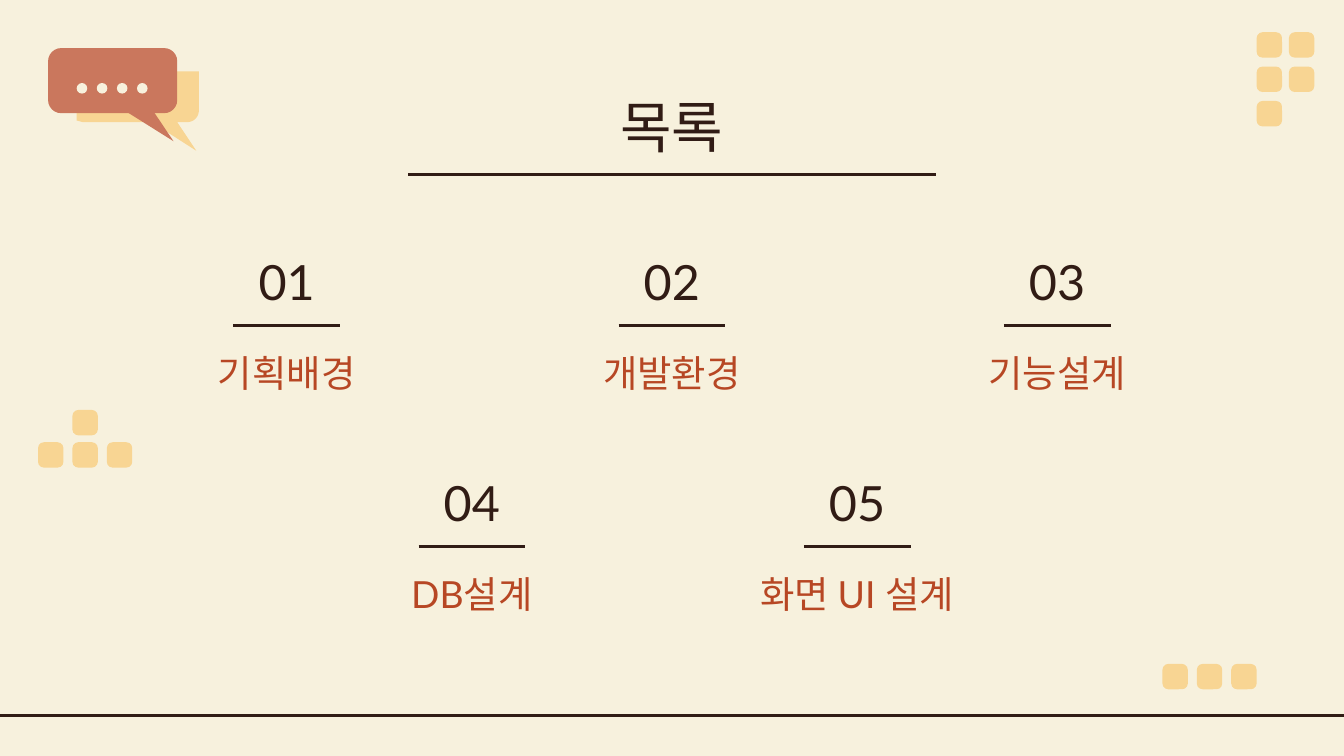
from math import cos, pi, sin

from lxml.etree import SubElement
from pptx import Presentation
from pptx.dml.color import RGBColor
from pptx.enum.shapes import MSO_CONNECTOR as Connector, MSO_SHAPE as Shape
from pptx.enum.text import MSO_ANCHOR as Anchor, MSO_AUTO_SIZE as AutoSize, PP_ALIGN as Align
from pptx.oxml.ns import qn
from pptx.util import Cm, Pt

COLORS = {
    "cream": "F7F1DD",
    "brown": "311C15",
    "rust": "B74724",
    "sand": "F8D593",
    "clay": "CA775D",
}
FONT = "Lato"

# Agenda rows: top, centre of the first entry, labels (all in cm)
AGENDA_ROWS = [
    (4.52, 5.42, ["기획배경", "개발환경", "기능설계"]),
    (8.69, 8.92, ["DB설계", "화면 UI 설계"]),
]
ENTRY_PITCH = 7.28

# Tile clusters: left, top, column pitch, row pitch, (column, row) cells
TILE_CLUSTERS = [
    (23.75, 0.61, 0.61, 0.65, [(0, 0), (1, 0), (0, 1), (1, 1), (0, 2)]),
    (21.97, 12.55, 0.65, 0.65, [(0, 0), (1, 0), (2, 0)]),
    (0.72, 7.75, 0.65, 0.61, [(1, 0), (0, 1), (1, 1), (2, 1)]),
]


def color(name):
    return RGBColor.from_string(COLORS[name])


def paint(shape, fill):
    shape.shadow.inherit = False
    shape.fill.solid()
    shape.fill.fore_color.rgb = color(fill)
    shape.line.fill.background()


def add_solid(page, kind, left, top, width, height, fill, rounding=None):
    shape = page.shapes.add_shape(kind, Cm(left), Cm(top), Cm(width), Cm(height))
    if rounding is not None:
        shape.adjustments[0] = rounding
    paint(shape, fill)


def add_outline(page, points, fill):
    corners = [(Cm(x), Cm(y)) for x, y in points]
    builder = page.shapes.build_freeform(*corners[0])
    builder.add_line_segments(corners[1:], close=True)
    paint(builder.convert_to_shape(), fill)


def add_rule(page, left, right, y):
    rule = page.shapes.add_connector(Connector.STRAIGHT, Cm(left), Cm(y), Cm(right), Cm(y))
    rule.line.color.rgb = color("brown")
    rule.line.width = Pt(1.5)
    SubElement(rule._element.spPr, qn("a:effectLst"))


def set_text(box, text, size, ink, anchor):
    frame = box.text_frame
    frame.text = text
    frame.word_wrap = True
    frame.auto_size = AutoSize.NONE
    frame.vertical_anchor = anchor
    frame.margin_left = frame.margin_right = Cm(0.25)
    frame.margin_top = frame.margin_bottom = Cm(0.25)
    paragraph = frame.paragraphs[0]
    paragraph.alignment = Align.CENTER
    for span in paragraph.runs:
        span.font.name = FONT
        span.font.size = Pt(size)
        span.font.color.rgb = color(ink)


def add_text(page, center, top, width, height, text, size, ink, anchor):
    box = page.shapes.add_textbox(Cm(center - width / 2), Cm(top), Cm(width), Cm(height))
    set_text(box, text, size, ink, anchor)


def add_entry(page, center, top, number, label):
    add_text(page, center, top, 2.11, 1.6, f"{number:02d}", 26, "brown", Anchor.MIDDLE)
    add_rule(page, center - 1.01, center + 1.01, top + 1.64)
    add_text(page, center, top + 1.98, 6.68, 1.22, label, 20, "rust", Anchor.BOTTOM)


def add_title(page, text):
    title = page.shapes.title
    title.left, title.top = Cm(2), Cm(1.5)
    title.width, title.height = Cm(21.4), Cm(1.6)
    set_text(title, text, 30, "brown", Anchor.TOP)
    add_rule(page, 7.72, 17.68, 3.3)


def add_tiles(page, left, top, column_pitch, row_pitch, cells):
    for column, row in cells:
        add_solid(page, Shape.ROUNDED_RECTANGLE, left + column * column_pitch,
                  top + row * row_pitch, 0.48, 0.48, "sand", 0.23)


def add_speech_bubbles(page):
    # Back bubble with one rounded corner
    radius, steps = 0.22, 8
    angles = [pi / 2 * (1 - step / steps) for step in range(steps + 1)]
    corner = [(3.54 + radius * cos(a), 2.09 + radius * sin(a)) for a in angles]
    add_outline(page, [(1.45, 1.35), (1.45, 2.28), (1.57, 2.31), (2.87, 2.31),
                       (3.71, 2.85), (3.35, 2.31), *corner, (3.76, 1.35)], "sand")
    # Front bubble with its tail and dots
    add_outline(page, [(2.26, 2.03), (3.28, 2.67), (2.85, 2.03)], "clay")
    add_solid(page, Shape.ROUNDED_RECTANGLE, 0.91, 0.91, 2.44, 1.23, "clay", 0.2)
    for dot in range(4):
        add_solid(page, Shape.OVAL, 1.45 + dot * 0.38, 1.57, 0.2, 0.2, "cream")


def main():
    deck = Presentation()
    deck.slide_width, deck.slide_height = Cm(25.4), Cm(14.29)
    page = deck.slides.add_slide(deck.slide_layouts[5])
    page.background.fill.solid()
    page.background.fill.fore_color.rgb = color("cream")

    # Decoration
    add_rule(page, 0, 25.4, 13.52)
    for cluster in TILE_CLUSTERS:
        add_tiles(page, *cluster)

    # Title and agenda
    add_title(page, "목록")
    number = 1
    for top, first_center, labels in AGENDA_ROWS:
        for column, label in enumerate(labels):
            add_entry(page, first_center + column * ENTRY_PITCH, top, number, label)
            number += 1

    add_speech_bubbles(page)
    deck.save("out.pptx")


if __name__ == "__main__":
    main()
